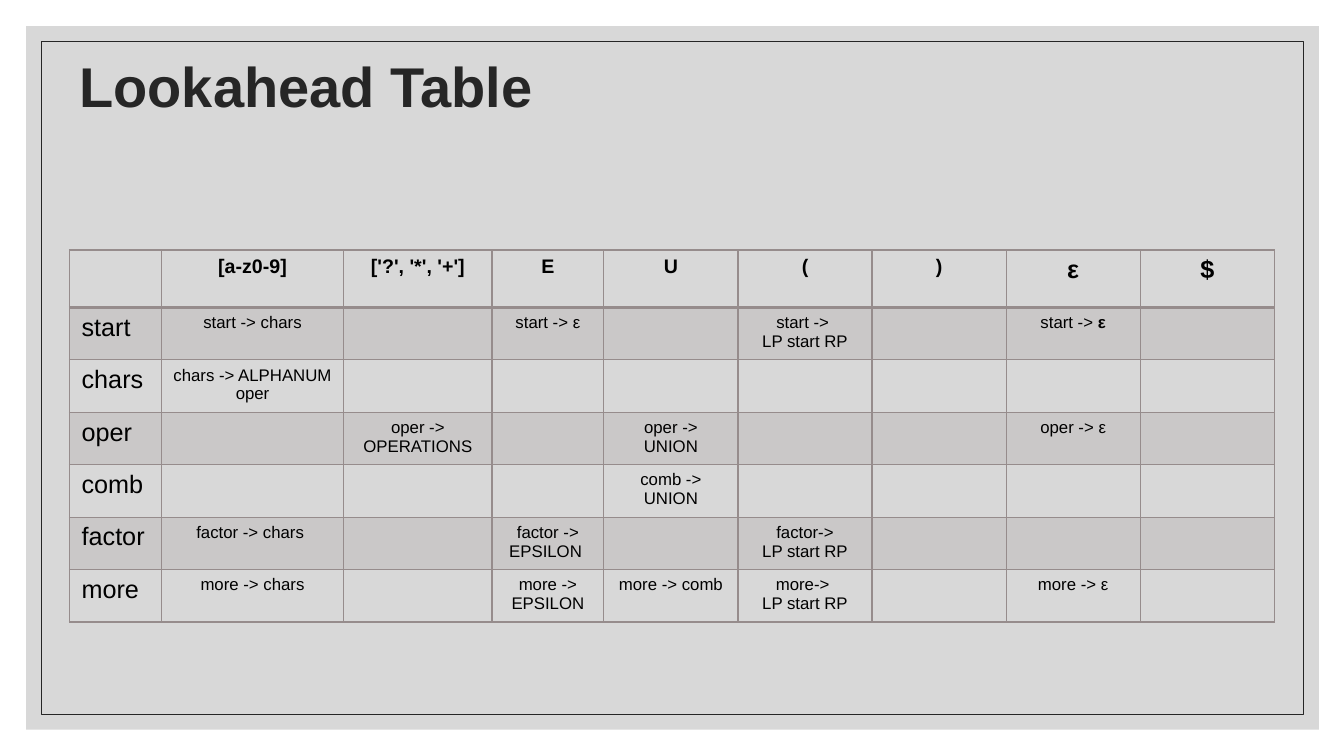
"""Build the lookahead table slide."""
from dataclasses import dataclass

from lxml.etree import SubElement
from pptx import Presentation
from pptx.dml.color import RGBColor
from pptx.dml.fill import FillFormat
from pptx.enum.shapes import MSO_SHAPE
from pptx.enum.text import MSO_ANCHOR, PP_ALIGN
from pptx.oxml.ns import qn
from pptx.slide import Slide
from pptx.table import _Cell
from pptx.text.text import _Paragraph
from pptx.util import Inches, Pt

FONT = "Arial"
INK = RGBColor(0x26, 0x26, 0x26)
BLACK = RGBColor(0x00, 0x00, 0x00)
PANEL = RGBColor(0xBF, 0xBF, 0xBF)
MAUVE = RGBColor(0x96, 0x8C, 0x8C)

COL_WIDTHS = [0.91, 1.81, 1.47, 1.11] + [1.33] * 5
ROW_HEIGHTS = [0.57, 0.48] + [0.46] * 5


@dataclass(frozen=True)
class Heading:
    """A terminal symbol heading a column."""
    text: str
    size: int = 14


@dataclass(frozen=True)
class Production:
    """A table entry; lines are paragraphs and bold_tail ends the last one."""
    col: int
    lines: tuple[str, ...]
    bold_tail: str = ""


@dataclass(frozen=True)
class Nonterminal:
    """A table row with its filled entries."""
    name: str
    productions: tuple[Production, ...]


HEADINGS = [
    Heading("[a-z0-9]"), Heading("['?', '*', '+']"), Heading("E"), Heading("U"),
    Heading("("), Heading(")"), Heading("ε", 18), Heading("$", 18),
]
NONTERMINALS = [
    Nonterminal("start", (
        Production(1, ("start -> chars",)),
        Production(3, ("start -> ε",)),
        Production(5, ("start -> ", "LP start RP")),
        Production(7, ("start -> ",), "ε"),
    )),
    Nonterminal("chars", (Production(1, ("chars -> ALPHANUM oper",)),)),
    Nonterminal("oper", (
        Production(2, ("oper -> OPERATIONS",)),
        Production(4, ("oper -> UNION",)),
        Production(7, ("oper -> ε",)),
    )),
    Nonterminal("comb", (Production(4, ("comb -> UNION",)),)),
    Nonterminal("factor", (
        Production(1, ("factor -> chars ",)),
        Production(3, ("factor -> EPSILON ",)),
        Production(5, (" factor-> ", "LP start RP")),
    )),
    Nonterminal("more", (
        Production(1, ("more -> chars",)),
        Production(3, ("more -> EPSILON",)),
        Production(4, ("more -> comb",)),
        Production(5, ("more-> ", "LP start RP")),
        Production(7, ("more -> ε",)),
    )),
]


def add_run(p: _Paragraph, text: str, size: int, color: RGBColor = BLACK,
            bold: bool = False) -> None:
    """Append a styled run to a paragraph."""
    r = p.add_run()
    r.text = text
    r.font.name = FONT
    r.font.size = Pt(size)
    r.font.bold = bold
    r.font.color.rgb = color


def set_fill(fill: FillFormat, color: RGBColor, opacity: int) -> None:
    """Apply a solid fill with the given opacity in percent."""
    fill.solid()
    fill.fore_color.rgb = color
    clr = fill._xPr.find(qn("a:solidFill")).find(qn("a:srgbClr"))
    SubElement(clr, qn("a:alpha"), val=str(opacity * 1000))


def set_borders(cell: _Cell, bottom: int) -> None:
    """Draw one-point borders with a chosen bottom width."""
    tc_pr = cell._tc.get_or_add_tcPr()
    for side, width in (("L", 1), ("R", 1), ("T", 1), ("B", bottom)):
        ln = SubElement(tc_pr, qn(f"a:ln{side}"), w=str(Pt(width)))
        SubElement(SubElement(ln, qn("a:solidFill")), qn("a:srgbClr"), val=str(MAUVE))


def add_backdrop(s: Slide) -> None:
    """Add the grey panel and its thin inner frame."""
    panel = s.shapes.add_shape(
        MSO_SHAPE.RECTANGLE, Inches(0.26), Inches(0.26), Inches(12.82), Inches(6.98))
    panel.shadow.inherit = False
    set_fill(panel.fill, PANEL, 60)
    panel.line.fill.background()
    frame = s.shapes.add_shape(
        MSO_SHAPE.RECTANGLE, Inches(0.41), Inches(0.41), Inches(12.52), Inches(6.68))
    frame.shadow.inherit = False
    frame.fill.background()
    frame.line.color.rgb = INK
    frame.line.width = Pt(0.5)


def add_title(s: Slide, text: str) -> None:
    """Add the slide title."""
    sp = s.shapes.add_textbox(Inches(0.69), Inches(0.14), Inches(11), Inches(1.5))
    tf = sp.text_frame
    tf.word_wrap = True
    tf.vertical_anchor = MSO_ANCHOR.MIDDLE
    p = tf.paragraphs[0]
    p.line_spacing = 0.9
    add_run(p, text, 40, INK, True)


def write_production(cell: _Cell, production: Production) -> None:
    """Write a production into its cell, one paragraph per line."""
    tf = cell.text_frame
    for i, line in enumerate(production.lines):
        p = tf.add_paragraph() if i else tf.paragraphs[0]
        p.alignment = PP_ALIGN.CENTER
        add_run(p, line, 12)
    if production.bold_tail:
        add_run(p, production.bold_tail, 12, bold=True)


def add_lookahead_table(s: Slide) -> None:
    """Add the table of productions by nonterminal and terminal."""
    table = s.shapes.add_table(
        len(ROW_HEIGHTS), len(COL_WIDTHS), Inches(0.69), Inches(2.48),
        Inches(sum(COL_WIDTHS)), Inches(sum(ROW_HEIGHTS))).table
    table.first_row = False
    table.horz_banding = False
    for column, width in zip(table.columns, COL_WIDTHS):
        column.width = Inches(width)
    for i, (row, height) in enumerate(zip(table.rows, ROW_HEIGHTS)):
        row.height = Inches(height)
        for cell in row.cells:
            cell.margin_left = cell.margin_right = Inches(0.12)
            cell.margin_top = cell.margin_bottom = Inches(0.06)
            set_borders(cell, 1 if i else 2)
            if i % 2:
                set_fill(cell.fill, MAUVE, 20)
            else:
                cell.fill.background()
    for col, heading in enumerate(HEADINGS, 1):
        p = table.cell(0, col).text_frame.paragraphs[0]
        p.alignment = PP_ALIGN.CENTER
        add_run(p, heading.text, heading.size, bold=True)
    for i, nonterminal in enumerate(NONTERMINALS, 1):
        add_run(table.cell(i, 0).text_frame.paragraphs[0], nonterminal.name, 18)
        for production in nonterminal.productions:
            write_production(table.cell(i, production.col), production)


def main() -> None:
    """Create and save the presentation."""
    prs = Presentation()
    prs.slide_width, prs.slide_height = Inches(13.33), Inches(7.5)
    s = prs.slides.add_slide(prs.slide_layouts[6])
    add_backdrop(s)
    add_title(s, "Lookahead Table")
    add_lookahead_table(s)
    prs.save("out.pptx")


if __name__ == "__main__":
    main()
